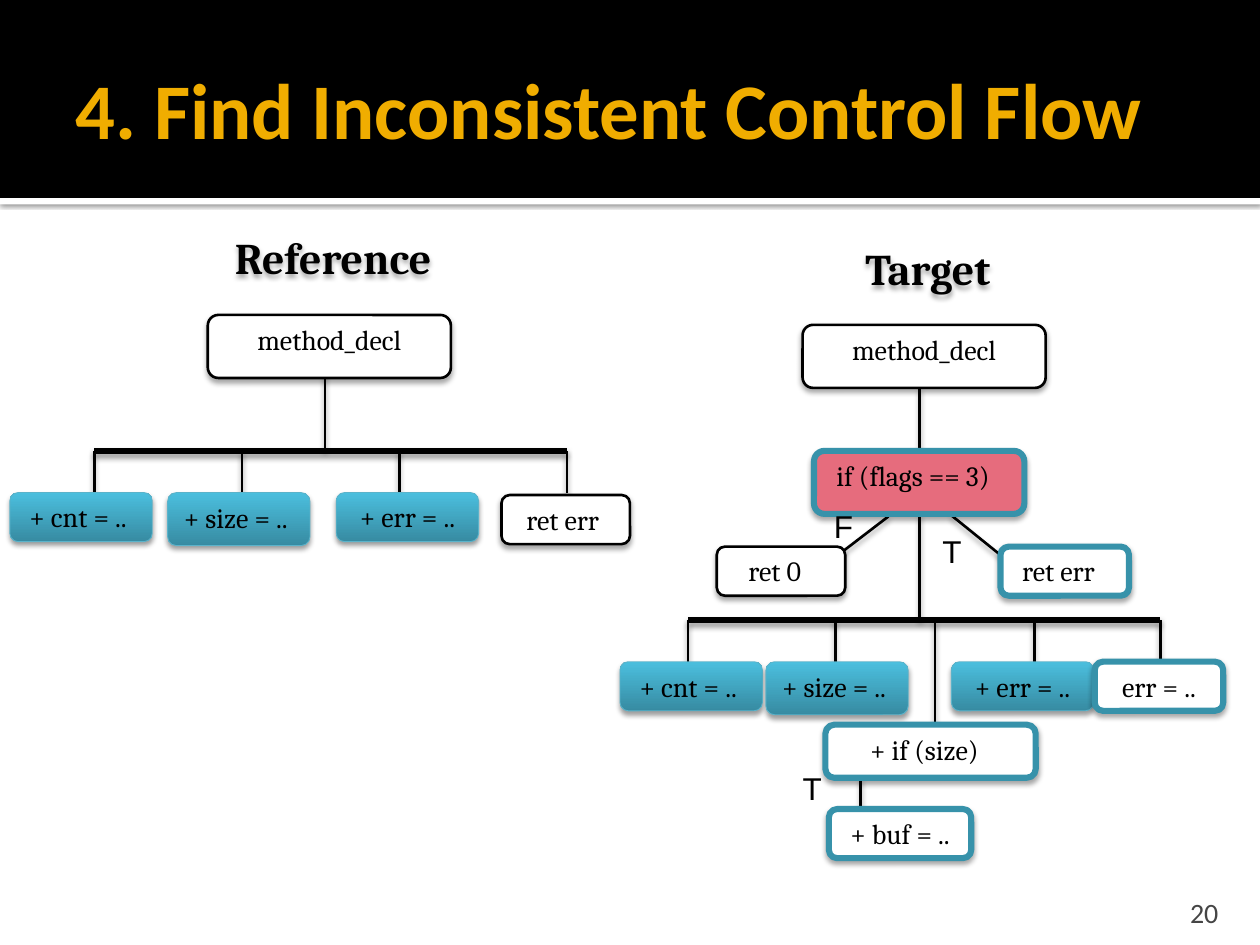
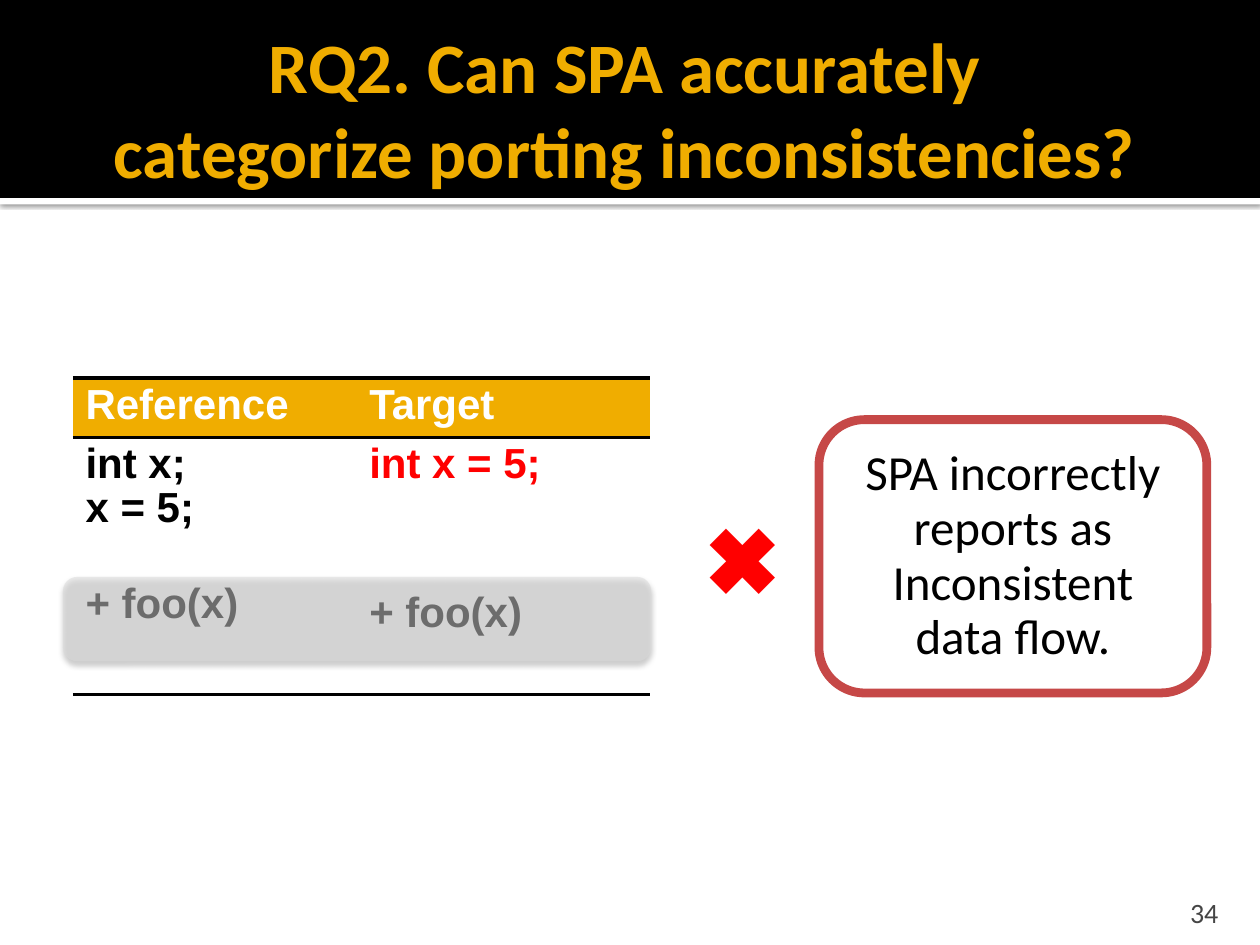
from dataclasses import dataclass
from typing import NamedTuple, Optional

from lxml.etree import SubElement
from pptx import Presentation
from pptx.dml.color import RGBColor
from pptx.enum.shapes import MSO_CONNECTOR as Connector, MSO_SHAPE as Shape
from pptx.enum.text import MSO_ANCHOR as Anchor, MSO_AUTO_SIZE as AutoSize, PP_ALIGN as Align
from pptx.oxml.ns import qn
from pptx.util import Cm, Pt

BLACK, WHITE, GOLD, RED = "000000", "FFFFFF", "F0AD00", "FF0000"
TEAL, PINK, BRICK, GREY, NUMBER_GREY = "3792AA", "E66C7D", "C64847", "D9D9D9", "454545"
CODE_FONT, TEXT_FONT, PLAIN_FONT = "Cambria", "Calibri", "Arial"
NO_GRID_STYLE = "{2D5ABB26-0587-4C30-8999-92F81FD0307C}"
SLIDE_WIDTH, BAND_HEIGHT = 25.4, 3.99
TIGHT = 0.93


class Box(NamedTuple):
    left: float
    top: float
    width: float
    height: float

    def lengths(self) -> list:
        return [Cm(value) for value in self]


class Font(NamedTuple):
    name: str
    size: float
    colour: str = BLACK
    bold: bool = False


class Shadow(NamedTuple):
    opacity: int
    blur: float
    distance: float


class Look(NamedTuple):
    fill: str
    line: str
    weight: float
    fill_top: Optional[str] = None
    shadow: Shadow = Shadow(35, 3, 2)


class Line(NamedTuple):
    x1: float
    y1: float
    x2: float
    y2: float


@dataclass
class Node:
    text: str
    box: Box
    look: Look
    shift: float = 0  # extra right inset that nudges the text left


@dataclass
class Tree:
    heading: str
    heading_at: tuple
    bus_y: float
    drops: list
    lines: list
    nodes: list
    labels: list


THIN_SHADOW = Shadow(35, 3, 2)
WIDE_SHADOW = Shadow(38, 3.1, 2)
PLAIN = Look(WHITE, BLACK, 1.5)
EDITED = Look("378BA2", "5BB3CA", 0.5, "4BBFDE", WIDE_SHADOW)
EXTRA = Look(WHITE, TEAL, 3.5)
CONFLICT = Look(PINK, TEAL, 3.5)
NODE_FONT = Font(CODE_FONT, 16)
DROP = 0.84
EDIT_W, RET_W, METHOD_W, IF_W = 2.87, 2.59, 4.9, 4.24
LOW, MID, TALL = 0.99, 1.07, 1.27


def rgb(colour: str) -> RGBColor:
    return RGBColor.from_string(colour)


def set_shadow(shape, shadow: Optional[Shadow] = None) -> None:
    """Replace the theme's effects; call after fill and line are set."""
    properties = shape.element.spPr
    for old in properties.findall(qn("a:effectLst")):
        properties.remove(old)
    effects = SubElement(properties, qn("a:effectLst"))
    if shadow:
        outer = SubElement(effects, qn("a:outerShdw"), blurRad=str(Pt(shadow.blur)),
                           dist=str(Pt(shadow.distance)), dir="5400000",
                           algn="ctr", rotWithShape="0")
        colour = SubElement(outer, qn("a:srgbClr"), val=BLACK)
        SubElement(colour, qn("a:alpha"), val=str(shadow.opacity * 1000))


def write(frame, text: str, font: Font, align: Align = Align.LEFT,
          spacing: Optional[float] = None) -> None:
    frame.text = text
    for paragraph in frame.paragraphs:
        paragraph.alignment = align
        if spacing:
            paragraph.line_spacing = spacing
        for run in paragraph.runs:
            run.font.name, run.font.size = font.name, Pt(font.size)
            run.font.bold = font.bold
            run.font.color.rgb = rgb(font.colour)


def set_insets(frame, left: float, top: float, right: float, bottom: float) -> None:
    frame.margin_left, frame.margin_top = Cm(left), Cm(top)
    frame.margin_right, frame.margin_bottom = Cm(right), Cm(bottom)


def add_panel(slide, kind: Shape, box: Box, fill: str, line: Optional[str] = None,
              weight: float = 0, shadow: Optional[Shadow] = None):
    panel = slide.shapes.add_shape(kind, *box.lengths())
    panel.fill.solid()
    panel.fill.fore_color.rgb = rgb(fill)
    if line:
        panel.line.color.rgb = rgb(line)
        panel.line.width = Pt(weight)
    else:
        panel.line.fill.background()
    set_shadow(panel, shadow)
    return panel


def add_text(slide, box: Box, text: str, font: Font, align: Align = Align.LEFT,
             spacing: Optional[float] = None, wrap: bool = True):
    area = slide.shapes.add_textbox(*box.lengths())
    area.text_frame.word_wrap = wrap
    write(area.text_frame, text, font, align, spacing)
    return area


def add_line(slide, line: Line, weight: float = 1.5, shadow: Shadow = THIN_SHADOW) -> None:
    connector = slide.shapes.add_connector(Connector.STRAIGHT, *[Cm(v) for v in line])
    connector.line.color.rgb = rgb(BLACK)
    connector.line.width = Pt(weight)
    set_shadow(connector, shadow)


def add_node(slide, node: Node) -> None:
    look = node.look
    shape = add_panel(slide, Shape.ROUNDED_RECTANGLE, node.box, look.fill,
                      look.line, look.weight, look.shadow)
    if look.fill_top:
        shape.fill.gradient()
        shape.fill.gradient_angle = 90
        for stop, colour in zip(shape.fill.gradient_stops, (look.fill, look.fill_top)):
            stop.color.rgb = rgb(colour)
    frame = shape.text_frame
    frame.word_wrap = True
    frame.vertical_anchor = Anchor.TOP
    set_insets(frame, 0.15, 0.1, 0.15 + node.shift, 0.1)
    write(frame, node.text, NODE_FONT, Align.CENTER)


def add_tree(slide, tree: Tree) -> None:
    heading = add_text(slide, Box(*tree.heading_at, 6.07, 1.65), tree.heading,
                       Font(CODE_FONT, 25, bold=True), Align.CENTER)
    set_insets(heading.text_frame, 0, 0, 0, 0)
    set_shadow(heading, THIN_SHADOW)
    bus = Line(tree.drops[0], tree.bus_y, tree.drops[-1], tree.bus_y)
    add_line(slide, bus, 3.78, Shadow(38, 3.5, 2))
    drops = [Line(x, tree.bus_y + DROP, x, tree.bus_y) for x in tree.drops]
    for line in drops + tree.lines:
        add_line(slide, line)
    for node in tree.nodes:
        add_node(slide, node)
    for text, left, top in tree.labels:
        add_text(slide, Box(left, top, 0.91, 0.99), text, Font(PLAIN_FONT, 18),
                 spacing=TIGHT, wrap=False)


def add_bands(slide, layout) -> None:
    """Draw the header bands and move them to the layout, behind its placeholders."""
    strip = add_panel(slide, Shape.RECTANGLE, Box(0, BAND_HEIGHT, SLIDE_WIDTH, 0.13),
                      WHITE, shadow=Shadow(60, 2.5, 0.8))
    band = add_panel(slide, Shape.RECTANGLE, Box(0, 0, SLIDE_WIDTH, BAND_HEIGHT), BLACK)
    for position, part in enumerate((strip, band), start=2):
        layout.shapes.element.insert(position, part.element)


def add_titled_slide(deck, title: str, size: float, align: Align, number: int):
    slide = deck.slides.add_slide(deck.slide_layouts[5])
    heading = slide.shapes.title
    heading.left, heading.top, heading.width, heading.height = Box(1.27, 0.43, 22.86, 3.48).lengths()
    frame = heading.text_frame
    frame.auto_size = AutoSize.NONE
    frame.vertical_anchor = Anchor.MIDDLE
    set_insets(frame, 0.25, 0.13, 0.13, 0.13)
    write(frame, title, Font(TEXT_FONT, size, GOLD, True), align)
    page = add_text(slide, Box(22.78, 17.98, 2.03, 0.76), str(number),
                    Font(TEXT_FONT, 16, NUMBER_GREY), Align.RIGHT)
    page.text_frame.vertical_anchor = Anchor.BOTTOM
    page.text_frame.margin_bottom = 0
    return slide


def edits(lefts: tuple, top: float) -> list:
    """The three edited statements both trees share."""
    rows = zip(("+ cnt = ..", "+ size = ..", "+ err = .."), lefts,
               (LOW, MID, LOW), (0.12, 0.12, 0))
    return [Node(text, Box(left, top, EDIT_W, height), EDITED, shift)
            for text, left, height, shift in rows]


def add_code_table(slide) -> None:
    frame = slide.shapes.add_table(2, 2, *Box(1.47, 7.62, 11.64, 6.35).lengths())
    table = frame.table
    table.first_row = table.horz_banding = False
    for style in frame.element.iter(qn("a:tableStyleId")):
        style.text = NO_GRID_STYLE
    for column, width in zip(table.columns, (5.72, 5.92)):
        column.width = Cm(width)
    for row, height in zip(table.rows, (1.17, 5.18)):
        row.height = Cm(height)
    contents = [[("Reference", WHITE, 0), ("Target", WHITE, 0)],
                [("int x;\nx = 5;\n+ foo(x)", BLACK, 30), ("int x = 5;\n+ foo(x)", RED, 60)]]
    for r, row in enumerate(contents):
        for c, (text, colour, gap) in enumerate(row):
            cell = table.cell(r, c)
            cell.fill.solid()
            cell.fill.fore_color.rgb = rgb(WHITE if r else GOLD)
            write(cell.text_frame, text, Font(PLAIN_FONT, 24, colour, True), spacing=TIGHT)
            if gap:
                call = cell.text_frame.paragraphs[-1]
                call.space_before = Pt(gap)
                call.runs[0].font.color.rgb = rgb(BLACK)
            add_rules(cell)


def add_rules(cell) -> None:
    """Black rules above and below a cell."""
    properties = cell._tc.get_or_add_tcPr()
    for position, side in enumerate(("a:lnT", "a:lnB")):
        rule = SubElement(properties, qn(side), w=str(Pt(2)))
        SubElement(SubElement(rule, qn("a:solidFill")), qn("a:srgbClr"), val=BLACK)
        properties.insert(position, rule)


REFERENCE = Tree(
    "Reference", (3.68, 4.65), 9.09, [1.9, 4.88, 8.05, 11.43],
    [Line(6.55, 6.35, 6.55, 9.09)],
    [Node("method_decl", Box(4.19, 6.35, METHOD_W, TALL), PLAIN),
     *edits((0.2, 3.38, 6.78), 9.93),
     Node("ret err", Box(10.11, 9.98, RET_W, LOW), PLAIN, 0.12)],
    [])

TARGET = Tree(
    "Target", (15.67, 4.88), 12.5, [13.87, 16.84, 20.85, 23.39],
    [Line(18.54, 7.82, 18.54, 9.09), Line(18.54, 10.36, 18.54, 12.5),
     Line(18.85, 12.5, 18.85, 14.61), Line(17.35, 15.67, 17.35, 16.31),
     Line(16.84, 11.23, 17.91, 10.41), Line(20.22, 11.23, 19.18, 10.39)],
    [Node("method_decl", Box(16.18, 6.55, METHOD_W, TALL), PLAIN),
     Node("if (flags == 3)", Box(16.41, 9.09, IF_W, TALL), CONFLICT, 0.25),
     Node("ret 0", Box(14.45, 11.02, RET_W, LOW), PLAIN, 0.25),
     Node("ret err", Box(20.17, 11.02, RET_W, LOW), EXTRA, 0.25),
     *edits((12.5, 15.44, 19.18), 13.34),
     Node("err = ..", Box(22.07, 13.34, RET_W, LOW), EXTRA),
     Node("+ if (size)", Box(16.64, 14.61, IF_W, MID), EXTRA, 0.25),
     Node("+ buf = ..", Box(16.71, 16.31, EDIT_W, LOW), EXTRA)],
    [("F", 16.56, 10.16), ("T", 18.75, 10.67), ("T", 15.93, 15.44)])


def main() -> None:
    deck = Presentation()
    deck.slide_width, deck.slide_height = Cm(SLIDE_WIDTH), Cm(19.05)

    control_flow = add_titled_slide(deck, "4. Find Inconsistent Control Flow", 45, Align.LEFT, 20)
    add_bands(control_flow, control_flow.slide_layout)
    for tree in (REFERENCE, TARGET):
        add_tree(control_flow, tree)

    accuracy = add_titled_slide(
        deck, "RQ2. Can SPA accurately \vcategorize porting inconsistencies? ", 40.5, Align.CENTER, 34)
    add_code_table(accuracy)
    veil = add_panel(accuracy, Shape.ROUNDED_RECTANGLE, Box(1.27, 11.63, 11.86, 1.7),
                     GREY, shadow=WIDE_SHADOW)
    veil_colour = veil.element.spPr.find(qn("a:solidFill")).find(qn("a:srgbClr"))
    SubElement(veil_colour, qn("a:alpha"), val="50000")
    add_text(accuracy, Box(13.97, 10.16, 1.98, 2.44), "✖", Font(PLAIN_FONT, 54, RED),
             spacing=TIGHT, wrap=False)
    verdict = add_panel(accuracy, Shape.ROUNDED_RECTANGLE, Box(16.51, 8.46, 7.82, 5.51),
                        WHITE, BRICK, 5.03)
    verdict.text_frame.word_wrap = True
    write(verdict.text_frame, "SPA incorrectly reports as Inconsistent data flow.",
          Font(TEXT_FONT, 28), Align.CENTER, TIGHT)

    deck.save("out.pptx")


if __name__ == "__main__":
    main()
